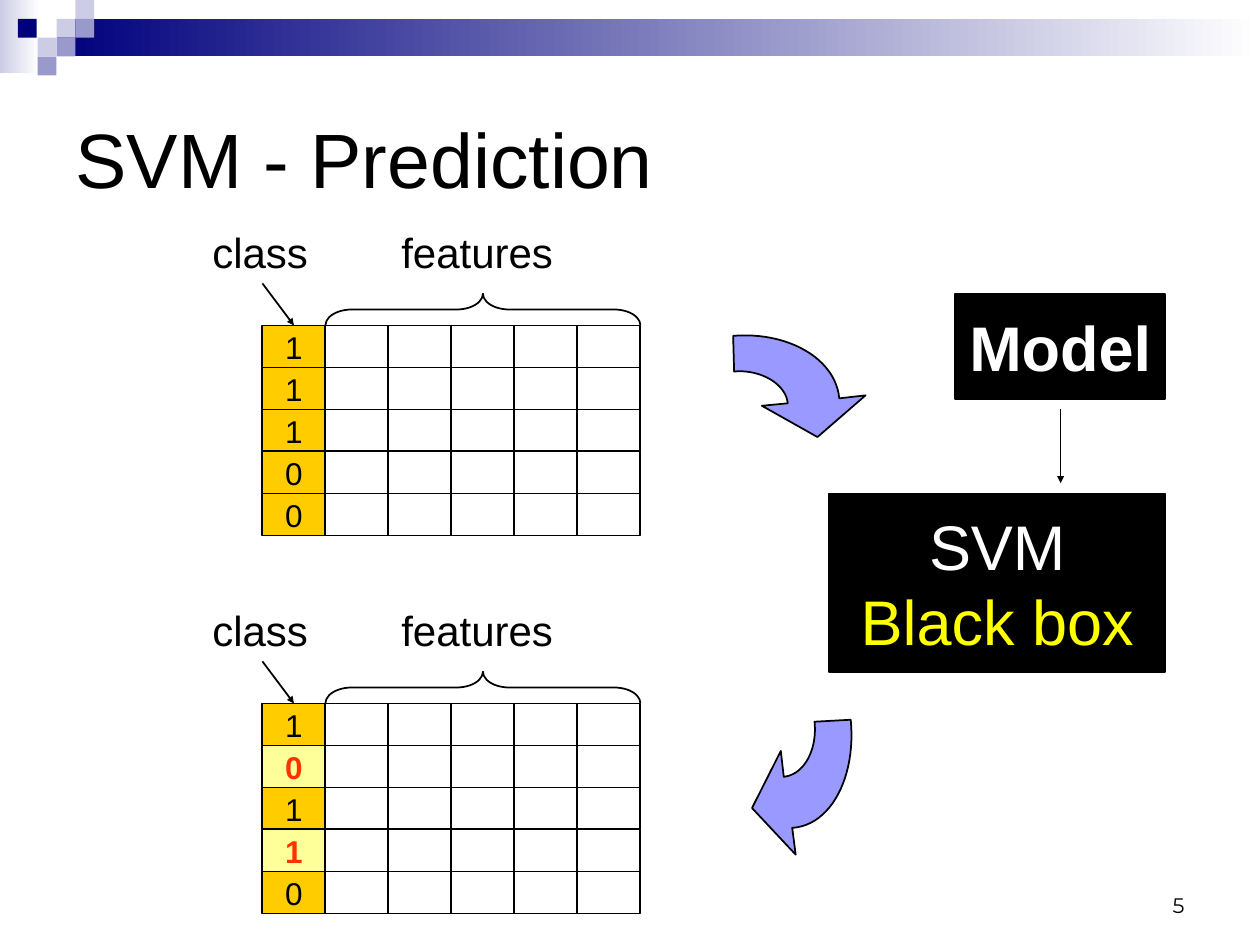
from lxml import etree
from pptx import Presentation
from pptx import util as u
from pptx.dml.color import RGBColor
from pptx.enum import shapes, text
from pptx.oxml import ns

Cm, Pt = u.Cm, u.Pt
COLORS = {
    "black": "000000", "white": "FFFFFF", "navy": "00007D", "lavender": "CCCCE6",
    "slate": "9999CC", "arrow": "9999FF", "gold": "FFCC00", "pale": "FFFF99",
    "red": "FF3300", "yellow": "FFFF00",
}
CELL_W, CELL_H, FEATURES = 1.27, 2.54 / 3, 5


def rgb(name):
    return RGBColor.from_string(COLORS[name])


def write(frame, content, size=18, color="black", bold=False, font="Arial",
          align=text.PP_ALIGN.LEFT, anchor=text.MSO_ANCHOR.TOP, wrap=False):
    """Fill a text frame, one paragraph per line; color may list one name per line."""
    frame.word_wrap = wrap
    frame.vertical_anchor = anchor
    lines = content.split("\n")
    names = [color] * len(lines) if isinstance(color, str) else color
    for index, (line, name) in enumerate(zip(lines, names)):
        para = frame.paragraphs[0] if index == 0 else frame.add_paragraph()
        para.alignment = align
        span = para.add_run()
        span.text = line
        span.font.size, span.font.bold, span.font.name = Pt(size), bold, font
        span.font.color.rgb = rgb(name)


def outline(shape):
    shape.line.color.rgb = rgb("black")
    shape.line.width = Pt(1)
    shape.shadow.inherit = False


def add_rect(page, left, top, width, height, fill=None):
    """Borderless rectangle: no fill, one colour, or a pair for a gradient."""
    box = page.shapes.add_shape(shapes.MSO_SHAPE.RECTANGLE,
                                Cm(left), Cm(top), Cm(width), Cm(height))
    box.shadow.inherit = False
    box.line.fill.background()
    if fill is None:
        box.fill.background()
    elif isinstance(fill, str):
        box.fill.solid()
        box.fill.fore_color.rgb = rgb(fill)
    else:
        box.fill.gradient()
        box.fill.gradient_angle = 0
        for stop, name in zip(box.fill.gradient_stops, fill):
            stop.color.rgb = rgb(name)
    return box


def add_framed_box(page, left, top, width, height, fill=None, content="", **style):
    box = add_rect(page, left, top, width, height, fill)
    outline(box)
    if content:
        write(box.text_frame, content, align=text.PP_ALIGN.CENTER,
              anchor=text.MSO_ANCHOR.MIDDLE, **style)
    return box


def add_label(page, left, top, width, height, content, **style):
    box = page.shapes.add_textbox(Cm(left), Cm(top), Cm(width), Cm(height))
    write(box.text_frame, content, **style)


def add_arrow(page, x1, y1, x2, y2):
    arrow = page.shapes.add_connector(shapes.MSO_CONNECTOR.STRAIGHT,
                                      Cm(x1), Cm(y1), Cm(x2), Cm(y2))
    arrow.line.color.rgb = rgb("black")
    arrow.line.width = Pt(1)
    etree.SubElement(arrow.line._get_or_add_ln(), ns.qn("a:tailEnd"),
                     type="triangle", w="sm", len="sm")
    etree.SubElement(arrow._element.spPr, ns.qn("a:effectLst"))
    return arrow


def add_header(page, left, top):
    add_rect(page, left, top, 0.79, 1.47, ("lavender", "white"))
    add_rect(page, left + 1.14, top + 0.38, 24.26, 0.76, ("navy", "white"))
    side = 0.38
    for column, row, fill in [(3, 1, "lavender"), (4, 0, "lavender"), (4, 1, "slate"),
                              (2, 2, "lavender"), (0.95, 1, "navy"), (3, 2, "slate"),
                              (2, 3, "slate")]:
        add_rect(page, left + column * side, top + row * side, side, side, fill)


def add_title(page, left, top, width, height, content):
    title = page.shapes.title
    title.left, title.top, title.width, title.height = map(Cm, (left, top, width, height))
    write(title.text_frame, content, size=44, anchor=text.MSO_ANCHOR.MIDDLE, wrap=True)


def add_data_set(page, left, top, classes, wrong=()):
    """Labelled class and feature grid; rows listed in wrong are highlighted."""
    class_cells = []
    for row, value in enumerate(classes):
        missed = row in wrong
        y = top + row * CELL_H
        class_cells.append(add_framed_box(
            page, left, y, CELL_W, CELL_H, "pale" if missed else "gold", value,
            color="red" if missed else "black", bold=missed))
        for column in range(1, FEATURES + 1):
            add_framed_box(page, left + column * CELL_W, y, CELL_W, CELL_H)

    pointer = add_arrow(page, left, top - CELL_H, left + CELL_W / 2, top)
    pointer.end_connect(class_cells[0], 0)
    add_label(page, left - 1.26, top - 2.12, 2.44, 1.27, "class", size=24)
    add_label(page, left + 2.55, top - 2.12, 3.56, 1.27, "features", size=24)

    span, depth = FEATURES * CELL_W, 0.64
    middle = left + CELL_W + span / 2
    brace = page.shapes.add_shape(
        shapes.MSO_SHAPE.LEFT_BRACE, Cm(middle - depth / 2),
        Cm(top - depth / 2 - span / 2), Cm(depth), Cm(span))
    brace.rotation = 90
    brace.adjustments[0] = 0.83
    brace.fill.background()
    outline(brace)


def bezier(points, steps=24):
    """Points after the first along a cubic curve."""
    for step in range(1, steps + 1):
        t = step / steps
        weights = ((1 - t) ** 3, 3 * t * (1 - t) ** 2, 3 * t * t * (1 - t), t ** 3)
        yield tuple(sum(w * p[axis] for w, p in zip(weights, points)) for axis in (0, 1))


def add_curved_arrow(page, left, top, inner, outer, head):
    """Block arrow between two cubic curves, closed by its head points."""
    corners = [inner[0], *bezier(inner), outer[0], *bezier(outer), *head]
    corners = [(Cm(left + x), Cm(top + y)) for x, y in corners]
    builder = page.shapes.build_freeform(*corners[0], scale=1.0)
    builder.add_line_segments(corners[1:], close=True)
    arrow = builder.convert_to_shape()
    arrow.fill.solid()
    arrow.fill.fore_color.rgb = rgb("arrow")
    outline(arrow)


def main():
    deck = Presentation()
    deck.slide_width, deck.slide_height = Cm(25.4), Cm(19.05)
    page = deck.slides.add_slide(deck.slide_layouts[5])

    add_header(page, 0, 0)
    add_title(page, 1.27, 1.27, 22.86, 3.81, "SVM - Prediction")
    add_data_set(page, 5.29, 6.56, "11100")
    add_curved_arrow(page, 14.78, 6.7,
                     inner=[(1.1, 1.43), (1.07, 1.05), (0.56, 0.74), (0.02, 0.79)],
                     outer=[(0, 0.07), (1.12, -0.02), (2.07, 0.54), (2.14, 1.33)],
                     head=[(2.67, 1.27), (1.7, 2.11), (0.58, 1.48)])
    add_framed_box(page, 16.72, 9.95, 6.77, 3.6, "black", "SVM\nBlack box",
                   size=36, color=("white", "yellow"))
    add_data_set(page, 5.29, 14.18, "10110", wrong=(1, 3))
    add_curved_arrow(page, 15.16, 14.51,
                     inner=[(0.64, 1.15), (1.05, 1.11), (1.32, 0.6), (1.26, 0.04)],
                     outer=[(1.99, 0), (2.1, 1.14), (1.6, 2.13), (0.81, 2.18)],
                     head=[(0.88, 2.72), (0, 1.78), (0.58, 0.63)])
    add_arrow(page, 21.38, 8.25, 21.38, 9.74)
    add_framed_box(page, 19.26, 5.93, 4.23, 2.12, "black", "Model",
                   size=36, color="white", bold=True)
    add_label(page, 18.2, 17.36, 5.93, 1.27, "5", size=12, font="Montserrat", wrap=True,
              align=text.PP_ALIGN.RIGHT, anchor=text.MSO_ANCHOR.BOTTOM)
    deck.save("out.pptx")


if __name__ == "__main__":
    main()
